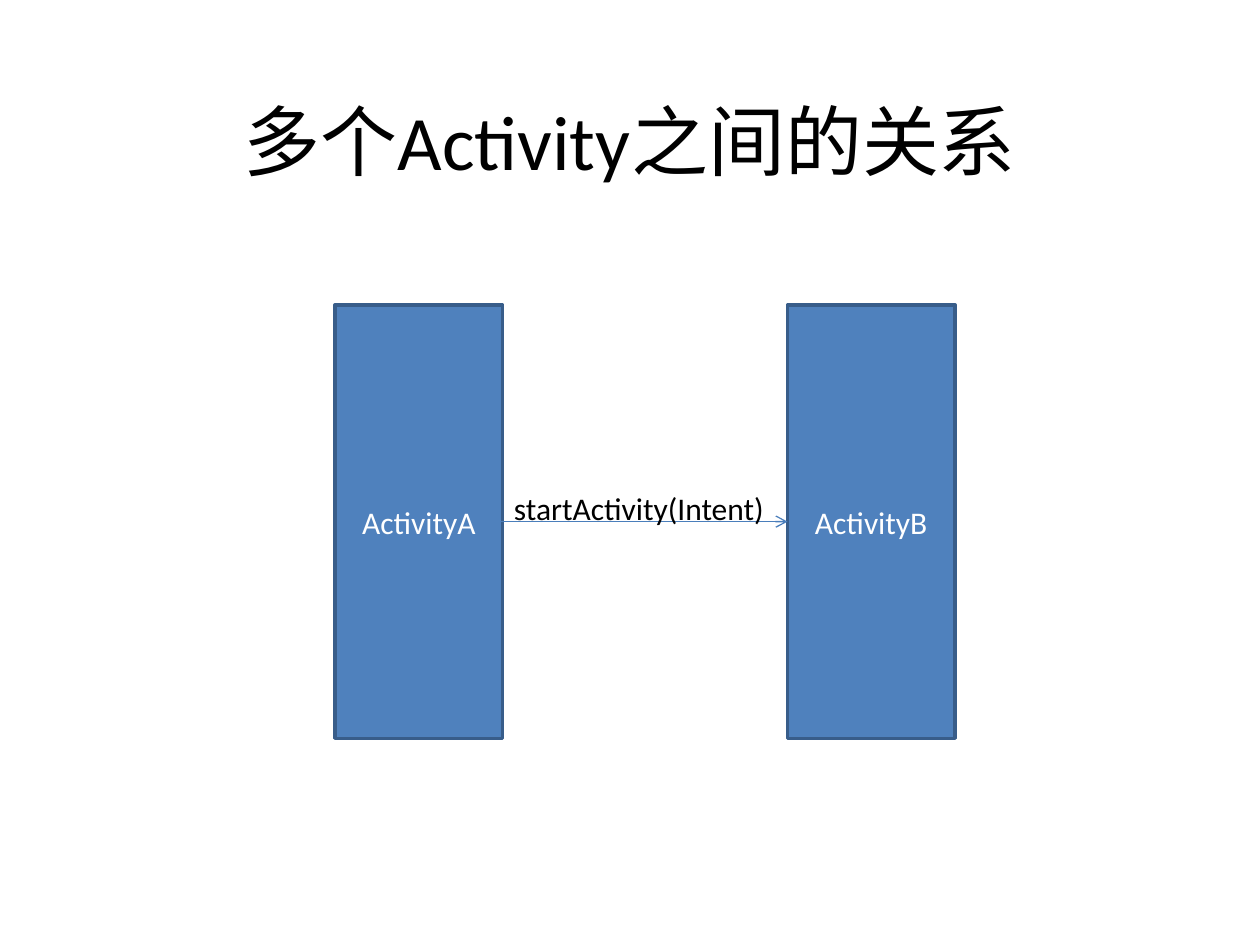
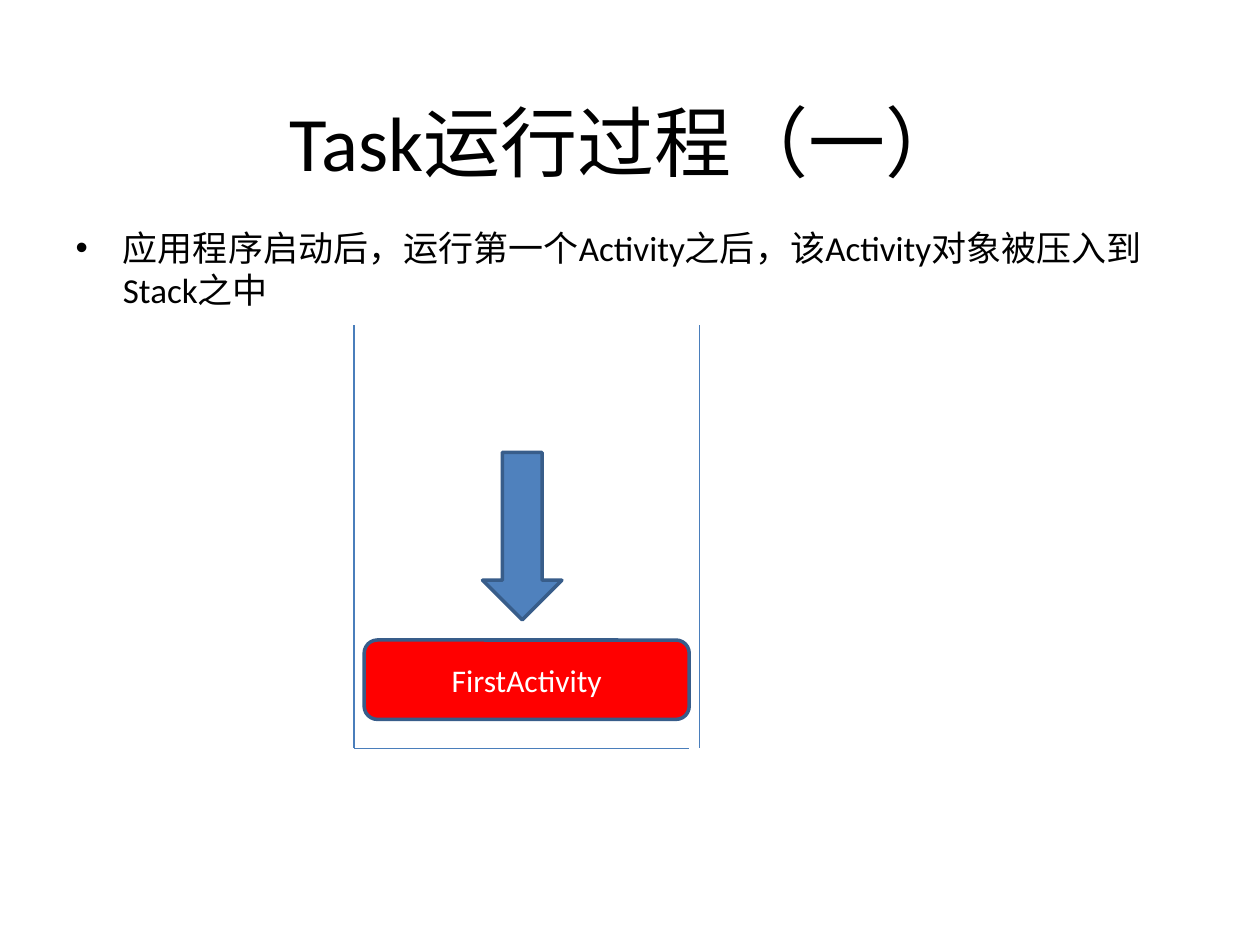
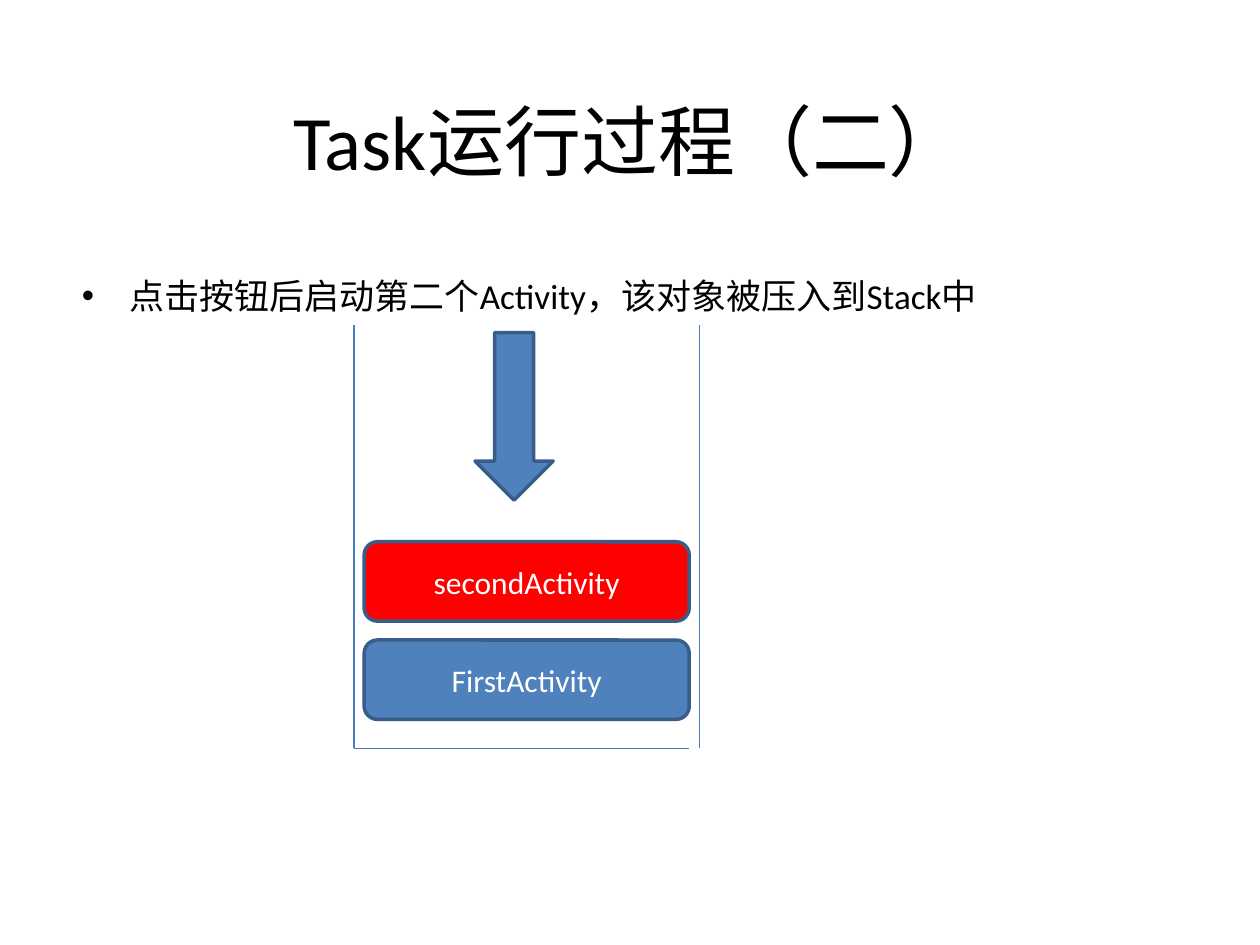
from lxml import etree
from pptx import Presentation, util as u
from pptx.dml.color import RGBColor
from pptx.enum import shapes, text
from pptx.oxml import ns

FONT = "Calibri"
BLACK, WHITE = "000000", "FFFFFF"
BLUE, RED = "4F81BD", "FF0000"
OUTLINE, LINE = "385D8A", "4A7EBB"
TITLE_ONLY, TITLE_AND_BODY = 5, 1

# The stack that holds the activities
STACK_LEFT, STACK_RIGHT = 2.81, 5.55
STACK_TOP, STACK_BOTTOM = 2.58, 5.94
ITEM_LEFT, ITEM_WIDTH, ITEM_HEIGHT = 2.89, 2.58, 0.63
FIRST_TOP, ITEM_STEP = 5.08, 0.78


def rgb(color):
    return RGBColor.from_string(color)


def place(item, left, top, width, height):
    item.left, item.top = u.Inches(left), u.Inches(top)
    item.width, item.height = u.Inches(width), u.Inches(height)


def write(item, words, size, color, align=text.PP_ALIGN.LEFT,
          anchor=text.MSO_ANCHOR.TOP):
    frame = item.text_frame
    frame.text = words
    frame.word_wrap = True
    frame.auto_size = text.MSO_AUTO_SIZE.NONE
    frame.vertical_anchor = anchor
    para = frame.paragraphs[0]
    para.alignment = align
    para.space_before = u.Pt(0)
    for span in para.runs:
        span.font.name = FONT
        span.font.size = u.Pt(size)
        span.font.color.rgb = rgb(color)


def add_page(deck, title, layout):
    page = deck.slides.add_slide(deck.slide_layouts[layout])
    place(page.shapes.title, 0.5, 0.69, 9, 1.25)
    write(page.shapes.title, title, 44, BLACK, text.PP_ALIGN.CENTER)
    return page


def add_box(page, kind, area, fill, words=None):
    box = page.shapes.add_shape(kind, *map(u.Inches, area))
    box.shadow.inherit = False
    box.fill.solid()
    box.fill.fore_color.rgb = rgb(fill)
    box.line.color.rgb = rgb(OUTLINE)
    box.line.width = u.Pt(2)
    if words:
        write(box, words, 18, WHITE, text.PP_ALIGN.CENTER,
              text.MSO_ANCHOR.MIDDLE)


def add_line(page, start, end, arrow=False):
    line = page.shapes.add_connector(
        shapes.MSO_CONNECTOR.STRAIGHT, *map(u.Inches, start + end))
    line.line.color.rgb = rgb(LINE)
    line.line.width = u.Pt(0.75)
    if arrow:
        etree.SubElement(line.line._get_or_add_ln(), ns.qn("a:tailEnd"),
                         type="arrow")
    etree.SubElement(line._element.spPr, ns.qn("a:effectLst"))


def add_stack(page, activities, arrow_area):
    """Draw the open stack; the newest activity, on top, is red."""
    for x in (STACK_LEFT, STACK_RIGHT):
        add_line(page, (x, STACK_TOP), (x, STACK_BOTTOM))
    add_line(page, (STACK_LEFT, STACK_BOTTOM),
             (ITEM_LEFT + ITEM_WIDTH, STACK_BOTTOM))
    for index, name in enumerate(activities):
        area = (ITEM_LEFT, FIRST_TOP - index * ITEM_STEP,
                ITEM_WIDTH, ITEM_HEIGHT)
        fill = RED if name == activities[-1] else BLUE
        add_box(page, shapes.MSO_SHAPE.ROUNDED_RECTANGLE, area, fill, name)
    add_box(page, shapes.MSO_SHAPE.DOWN_ARROW, arrow_area, BLUE)


def add_relation_page(deck):
    page = add_page(deck, "多个Activity之间的关系", TITLE_ONLY)
    for left, name in ((2.66, "ActivityA"), (6.25, "ActivityB")):
        add_box(page, shapes.MSO_SHAPE.RECTANGLE, (left, 2.42, 1.33, 3.44),
                BLUE, name)
    add_line(page, (3.98, 4.14), (6.25, 4.14), arrow=True)
    label = page.shapes.add_textbox(
        *map(u.Inches, (3.98, 3.83, 2.19, 0.7)))
    write(label, "startActivity(Intent)", 18, BLACK)
    label.text_frame.margin_right = 0


def add_task_page(deck, title, point, body_area, activities, arrow_area):
    page = add_page(deck, title, TITLE_AND_BODY)
    body = page.placeholders[1]
    place(body, *body_area)
    write(body, point, 20, BLACK)
    add_stack(page, activities, arrow_area)
    return page


def main():
    deck = Presentation()
    deck.slide_width, deck.slide_height = u.Inches(10), u.Inches(7.5)

    # Two activities and the call between them
    add_relation_page(deck)

    # The first activity enters the stack
    page = add_task_page(
        deck, "Task运行过程（一）",
        "应用程序启动后，运行第一个Activity之后，该Activity对象被压入到Stack之中",
        (0.5, 1.75, 9, 4.95), ["FirstActivity"], (3.83, 3.59, 0.63, 1.33))
    place(page.shapes.title, 0.47, 0.7, 9, 1.25)

    # The second activity enters the stack
    add_task_page(
        deck, "Task运行过程（二）",
        "点击按钮后启动第二个Activity，该对象被压入到Stack中",
        (0.55, 2.13, 9, 5.37), ["FirstActivity", "secondActivity"],
        (3.77, 2.64, 0.62, 1.33))

    deck.save("out.pptx")


if __name__ == "__main__":
    main()
